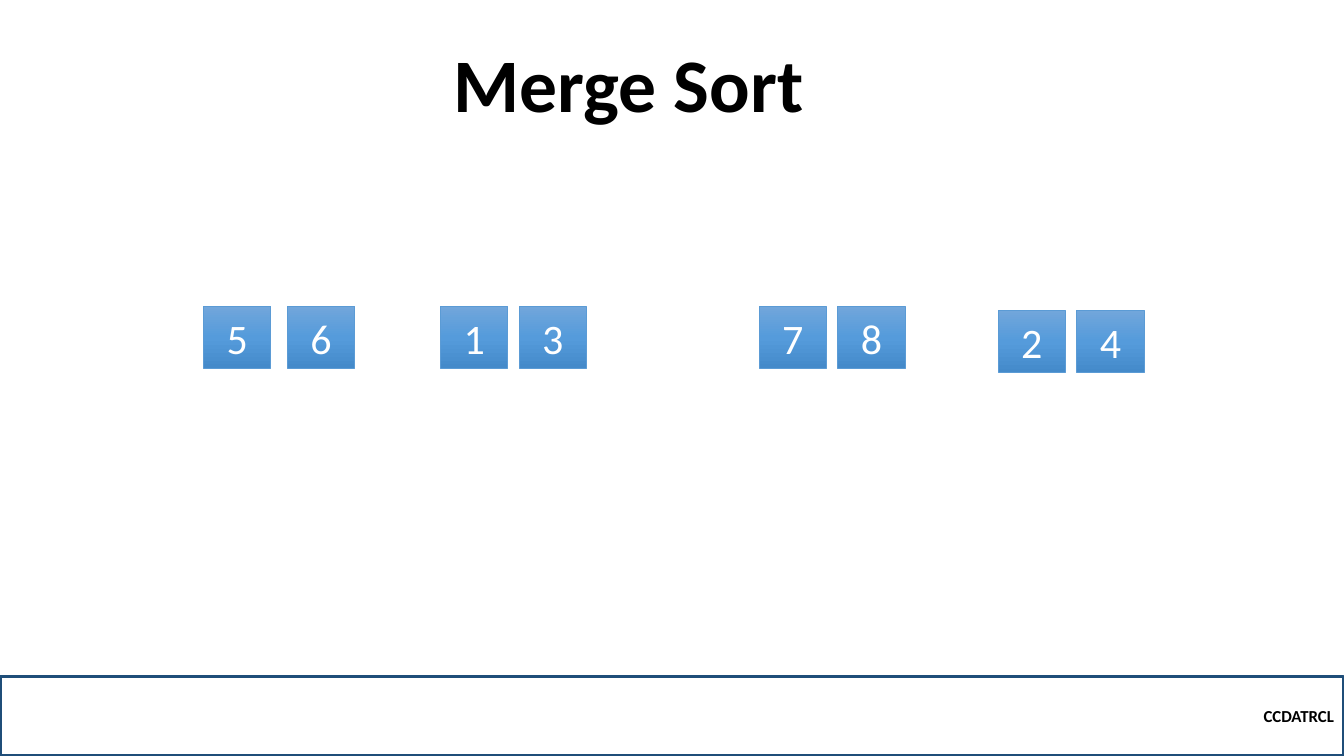
"""Build the Merge Sort slide showing four sorted pairs of numbers."""
from copy import deepcopy
from typing import NamedTuple

from pptx import Presentation
from pptx.dml.color import RGBColor
from pptx.enum.shapes import MSO_SHAPE
from pptx.enum.text import MSO_ANCHOR, PP_ALIGN
from pptx.util import Inches, Pt

RECT = MSO_SHAPE.RECTANGLE
MIDDLE, BOTTOM = MSO_ANCHOR.MIDDLE, MSO_ANCHOR.BOTTOM
CENTER, RIGHT = PP_ALIGN.CENTER, PP_ALIGN.RIGHT
FONT = "Calibri"
BLACK, WHITE, NAVY, BLUE = "000000", "FFFFFF", "1F4E79", "5B9BD5"
GRADIENT = ((0, "71A6DB"), (0.5, "559BDB"), (1, "448ACA"))
CELL_W, CELL_H = 5, 8.2


class Box(NamedTuple):
    """Left, top, width and height as percentages of the slide."""
    x: float
    y: float
    w: float
    h: float


class Pair(NamedTuple):
    """Two neighbouring values, placed by percentages of the slide."""
    values: str
    x: float
    y: float
    pitch: float


PAIRS = (
    Pair("56", 15.15, 40.53, 6.23),
    Pair("13", 32.78, 40.53, 5.85),
    Pair("78", 56.49, 40.53, 5.85),
    Pair("24", 74.27, 41.07, 5.85),
)

prs = Presentation()
prs.slide_width, prs.slide_height = Inches(13.33), Inches(7.5)
slide = prs.slides.add_slide(prs.slide_layouts[6])


def rgb(color: str) -> RGBColor:
    """Turn a hex string into a colour."""
    return RGBColor.from_string(color)


def place(box: Box) -> tuple[int, ...]:
    """Turn percentages of the slide into lengths."""
    sizes = (prs.slide_width, prs.slide_height) * 2
    return tuple(round(part * size / 100) for part, size in zip(box, sizes))


def write(s, text: str, size: float, color: str, bold: bool, align, anchor):
    """Put one styled paragraph into a shape and return it."""
    tf = s.text_frame
    tf.word_wrap = True
    tf.vertical_anchor = anchor
    p = tf.paragraphs[0]
    p.text = text
    p.alignment = align
    p.font.name, p.font.size, p.font.bold = FONT, Pt(size), bold
    p.font.color.rgb = rgb(color)
    return p


def add_rect(box: Box, line: str, width: float):
    """Add an outlined rectangle without fill or shadow."""
    s = slide.shapes.add_shape(RECT, *place(box))
    s.shadow.inherit = False
    s.fill.background()
    s.line.color.rgb = rgb(line)
    s.line.width = Pt(width)
    return s


def fill_gradient(s) -> None:
    """Fill a shape with the three-stop gradient from top to bottom."""
    s.fill.gradient()
    s.fill.gradient_angle = 270
    stops = s._element.spPr.xpath(".//a:gsLst")[0]
    stops.insert(1, deepcopy(stops[0]))
    for stop, (position, color) in zip(s.fill.gradient_stops, GRADIENT):
        stop.position = position
        stop.color.rgb = rgb(color)


def add_pair(pair: Pair) -> None:
    """Draw the two cells of a pair."""
    for i, value in enumerate(pair.values):
        s = add_rect(Box(pair.x + i * pair.pitch, pair.y, CELL_W, CELL_H), BLUE, 0.5)
        fill_gradient(s)
        write(s, value, 30, WHITE, False, CENTER, MIDDLE)


title = slide.shapes.add_textbox(*place(Box(6, 7.2, 81.55, 10.53)))
write(title, "Merge Sort", 54, BLACK, True, CENTER, BOTTOM).line_spacing = 0.9

footer = add_rect(Box(0, 89.47, 100, 10.53), NAVY, 2.25)
write(footer, "CCDATRCL", 12, BLACK, True, RIGHT, MIDDLE)

for pair in PAIRS:
    add_pair(pair)

prs.save("out.pptx")
